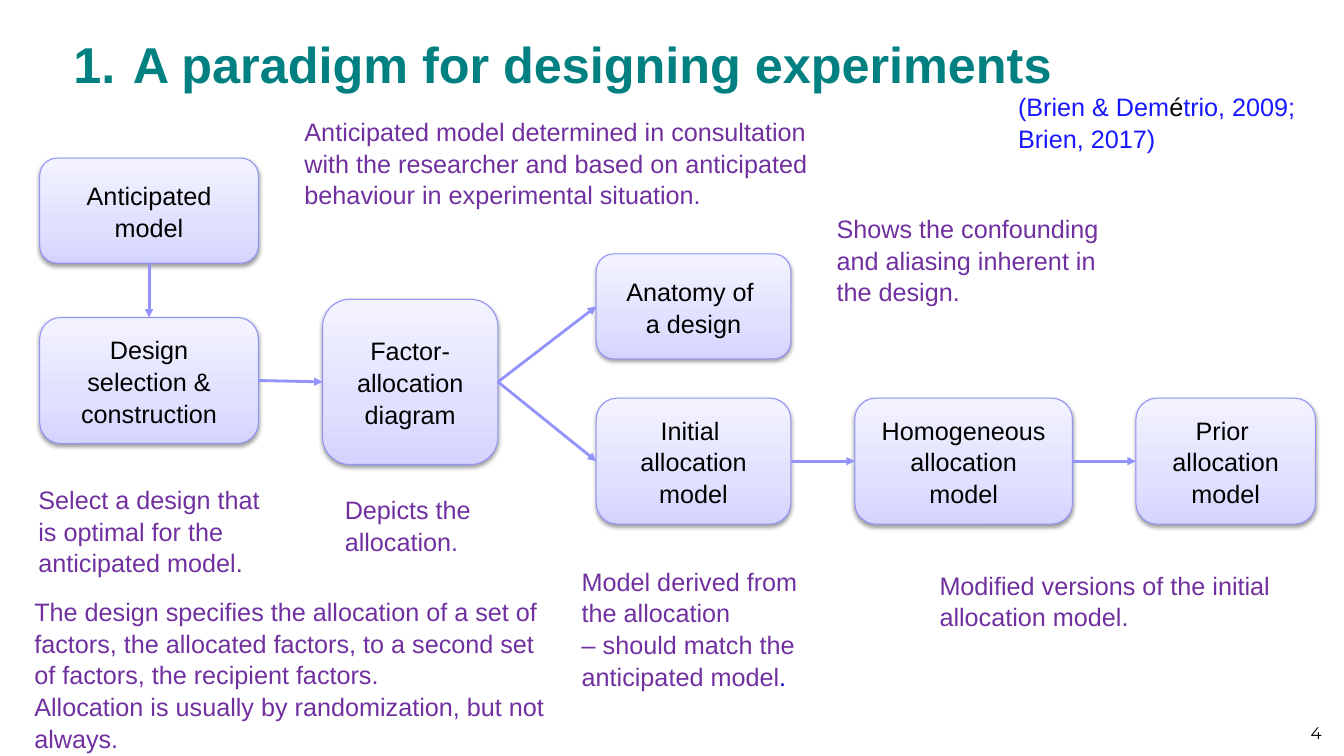
from lxml.etree import SubElement
from pptx import Presentation
from pptx.dml.color import RGBColor
from pptx.enum.shapes import MSO_CONNECTOR, MSO_SHAPE
from pptx.enum.text import MSO_ANCHOR, PP_ALIGN
from pptx.oxml import parse_xml
from pptx.oxml.ns import nsdecls, qn
from pptx.util import Pt

# Content: a text is a list of paragraphs; a paragraph is a string or (text, colour) runs
TITLE = "1.\tA paradigm for designing experiments"
PAGE_NUMBER = "4"
CITATION = [("(Brien & Dem", "citation"), ("é", "text"), ("trio, 2009; Brien, 2017)", "citation")]

LEFT_COL, ANATOMY_COL = 28.4, 425.9
SHORT, TALL, ROW = 75, 90, 284.4

STEPS = {  # key: (left, top, width, height), paragraphs
    "anticipated": ((LEFT_COL, 113, 156.2, SHORT), ["Anticipated", "model"]),
    "design": ((LEFT_COL, 226.8, 156.2, TALL), ["Design selection &", "construction"]),
    "factor": ((230.4, 213.8, 125.3, 118), ["Factor-allocation diagram"]),
    "anatomy": ((ANATOMY_COL, 181.4, 139, SHORT), ["Anatomy of ", "a design"]),
    "initial": ((ANATOMY_COL, ROW, 139, TALL), ["Initial ", "allocation model"]),
    "homogeneous": ((610.6, ROW, 155.5, TALL), ["Homogeneous allocation", "model"]),
    "prior": ((811.4, ROW, 128.2, TALL), ["Prior ", "allocation model"]),
}
TOP, LEFT, BOTTOM, RIGHT = range(4)
ARROWS = [
    ("anticipated", BOTTOM, "design", TOP),
    ("design", RIGHT, "factor", LEFT),
    ("factor", RIGHT, "anatomy", LEFT),
    ("factor", RIGHT, "initial", LEFT),
    ("initial", RIGHT, "homogeneous", LEFT),
    ("homogeneous", RIGHT, "prior", LEFT),
]
NOTES = [
    ((208.1, 77, 379.4, 69.8), "Anticipated model determined in consultation with the researcher "
     "and based on anticipated behaviour in experimental situation."),
    ((18, 339.8, 178.6, 85), "Select a design that is optimal for the anticipated model."),
    ((15.1, 419.8, 391, 113.8), "The design specifies the allocation of a set of factors, the "
     "allocated factors, to a second set of factors, the recipient factors. \n"
     "Allocation is usually by randomization, but not always."),
    ((236.9, 347, 112.3, 54), "Depicts the allocation."),
    ((588.2, 146.2, 221, 79.9), "Shows the confounding and aliasing inherent in the design."),
    ((406.1, 398.2, 181.4, 98.6), [("Model derived from the allocation \n"
     "– should match the anticipated model", "note"), (".", "stop")]),
    ((661.7, 401, 260.6, 54), "Modified versions of the initial allocation model."),
    ((717.8, 59, 221, 56.9), CITATION),
]

THEME = {
    "title": "008080", "text": "000000", "note": "7030A0", "citation": "1818FF",
    "stop": "0000CC", "edge": "9393FC",
    "gradient": [(0, "D4D4FF"), (35, "E0E0FF"), (100, "F3F3FF")],
    "font": "Arial", "number_font": "Montserrat",
    "title_size": 36, "body_size": 18, "number_size": 12,
}

prs = Presentation()
prs.slide_width, prs.slide_height = Pt(960), Pt(540)
slide = prs.slides.add_slide(prs.slide_layouts[6])


def colour(name):
    return RGBColor.from_string(THEME[name])


def write(shape, paragraphs, color="text", size=THEME["body_size"], font=THEME["font"],
          bold=False, align=PP_ALIGN.LEFT, anchor=MSO_ANCHOR.TOP, inset=(9.4, 5),
          spacing=1.05, hanging=0):
    frame = shape.text_frame
    frame.word_wrap = True
    frame.vertical_anchor = anchor
    frame.margin_left = frame.margin_right = Pt(inset[0])
    frame.margin_top = frame.margin_bottom = Pt(inset[1])
    for i, content in enumerate(paragraphs):
        paragraph = frame.add_paragraph() if i else frame.paragraphs[0]
        paragraph.alignment, paragraph.line_spacing = align, spacing
        if hanging:
            properties = paragraph._p.get_or_add_pPr()
            properties.set("marL", str(Pt(hanging)))
            properties.set("indent", str(-Pt(hanging)))
        for text, run_color in [(content, color)] if isinstance(content, str) else content:
            for j, line in enumerate(text.split("\n")):
                if j:
                    paragraph.add_line_break()
                run = paragraph.add_run()
                run.text = line
                run.font.name, run.font.size, run.font.bold = font, Pt(size), bold
                run.font.color.rgb = colour(run_color)


def text_box(place):
    return slide.shapes.add_textbox(*map(Pt, place))


def add_step(place, paragraphs):
    step = slide.shapes.add_shape(MSO_SHAPE.ROUNDED_RECTANGLE, *map(Pt, place))
    step.shadow.inherit = False
    step.line.color.rgb, step.line.width = colour("edge"), Pt(0.75)
    # Three-stop gradient, lightest at the top
    stops = "".join(f'<a:gs pos="{pos * 1000}"><a:srgbClr val="{value}"/></a:gs>'
                    for pos, value in THEME["gradient"])
    properties = step._element.spPr
    properties.find(qn("a:prstGeom")).addnext(parse_xml(
        f'<a:gradFill {nsdecls("a")} rotWithShape="1"><a:gsLst>{stops}</a:gsLst>'
        '<a:lin ang="16200000" scaled="0"/></a:gradFill>'))
    # Soft shadow below
    shadow = SubElement(properties.find(qn("a:effectLst")), qn("a:outerShdw"),
                        blurRad=str(Pt(3.1)), dist=str(Pt(1.6)), dir="5400000", rotWithShape="0")
    black = SubElement(shadow, qn("a:srgbClr"), val="000000")
    SubElement(black, qn("a:alpha"), val="38000")
    write(step, paragraphs, align=PP_ALIGN.CENTER, anchor=MSO_ANCHOR.MIDDLE)
    return step


def add_arrow(source, source_side, target, target_side):
    arrow = slide.shapes.add_connector(MSO_CONNECTOR.STRAIGHT, 0, 0, 0, 0)
    arrow.begin_connect(source, source_side)
    arrow.end_connect(target, target_side)
    arrow.line.color.rgb, arrow.line.width = colour("edge"), Pt(2)
    SubElement(arrow.line._get_or_add_ln(), qn("a:tailEnd"), type="triangle")
    SubElement(arrow._element.spPr, qn("a:effectLst"))


# Title and page number
write(text_box((45.4, 16.6, 907.2, 56.9)), [TITLE], color="title", size=THEME["title_size"],
      bold=True, anchor=MSO_ANCHOR.MIDDLE, inset=(7.2, 3.6), spacing=1, hanging=42.5)
write(text_box((727.2, 498.2, 223.9, 36)), [PAGE_NUMBER], size=THEME["number_size"],
      font=THEME["number_font"], align=PP_ALIGN.RIGHT, anchor=MSO_ANCHOR.BOTTOM,
      inset=(7.2, 3.6), spacing=1)

# Flow of steps
steps = {key: add_step(*step) for key, step in STEPS.items()}
for source, source_side, target, target_side in ARROWS:
    add_arrow(steps[source], source_side, steps[target], target_side)

# Notes around the flow
for place, note in NOTES:
    write(text_box(place), [note], color="note")

prs.save("out.pptx")
